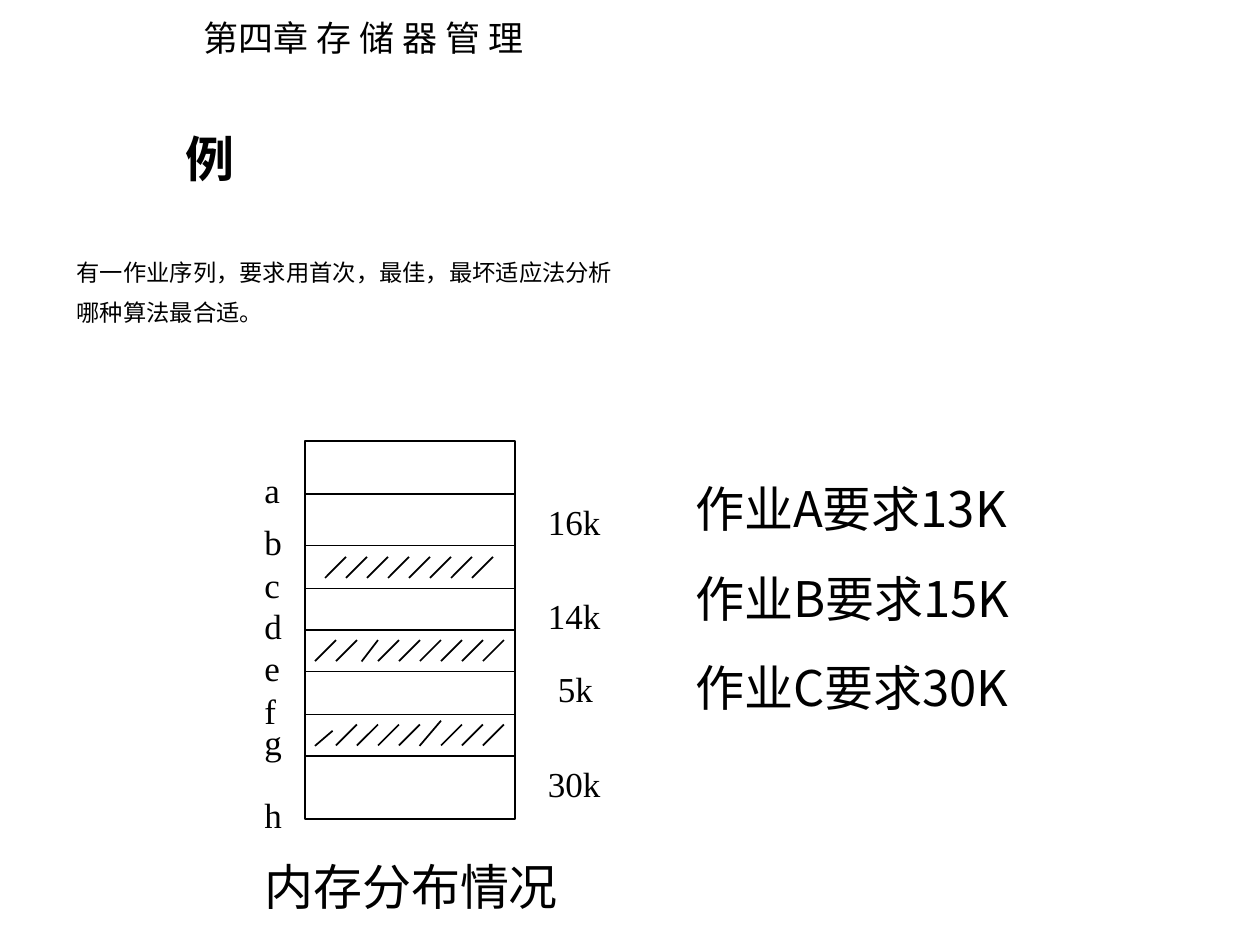
from dataclasses import dataclass

from lxml import etree
from pptx import Presentation
from pptx.dml.color import RGBColor
from pptx.enum.shapes import MSO_CONNECTOR, MSO_SHAPE
from pptx.enum.text import MSO_ANCHOR, PP_ALIGN
from pptx.oxml.ns import qn
from pptx.util import Inches, Pt


@dataclass(frozen=True)
class Theme:
    ink: RGBColor = RGBColor(0, 0, 0)
    paper: RGBColor = RGBColor(255, 255, 255)
    serif: str = "Times New Roman"
    cjk: str = "Noto Sans CJK SC"
    large: float = 28
    label: float = 20
    body: float = 13.3
    rule: float = 1
    leading: float = 1.2


THEME = Theme()
MAP_LEFT, MAP_TOP, MAP_WIDTH, MAP_HEIGHT = 2.42, 3.5, 1.67, 3
MAP_RIGHT = MAP_LEFT + MAP_WIDTH
DIVIDERS = (3.92, 4.33, 4.67, 5, 5.33, 5.67, 6)
STEP = 1 / 6

ADDRESSES = (("a", 3.67), ("b", 4.08), ("c", 4.42), ("d", 4.75),
             ("e", 5.08), ("f", 5.42), ("g", 5.67), ("h", 6.25))
FREE_SIZES = (("16k", 4.25, 3.92), ("14k", 4.25, 4.67),
              ("5k", 4.33, 5.25), ("30k", 4.25, 6))
# Left edge, top and stroke count of each occupied block
OCCUPIED = ((2.58, 4.42, 8), (2.5, 5.08, 9), (2.5, 5.75, 9))
# Strokes off the regular pattern: (block, stroke) -> x1, y1, x2, y2
UNEVEN_STROKES = {
    (1, 2): (3, 5.08, 2.87, 5.25),
    (2, 0): (2.64, 5.8, 2.5, 5.92),
    (2, 5): (3.5, 5.72, 3.33, 5.92),
}


def write_lines(frame, lines, size, latin=THEME.serif, gap=0, bold=False,
                align=PP_ALIGN.LEFT, leading=None):
    for index, line in enumerate(lines):
        paragraph = frame.paragraphs[0] if index == 0 else frame.add_paragraph()
        paragraph.alignment = align
        if leading:
            paragraph.line_spacing = Pt(size * leading)
        if index:
            paragraph.space_before = Pt(gap)
        run = paragraph.add_run()
        run.text = line
        font = run.font
        font.size, font.bold, font.name = Pt(size), bold, latin
        font.color.rgb = THEME.ink
        east_asian = etree.SubElement(font._element, qn("a:ea"))
        east_asian.set("typeface", THEME.cjk)


def add_text(slide, left, top, width, height, lines, size, wrap=True, **style):
    box = slide.shapes.add_textbox(
        Inches(left), Inches(top), Inches(width), Inches(height))
    box.text_frame.word_wrap = wrap
    write_lines(box.text_frame, lines, size, **style)


def add_box(slide, left, top, width, height):
    box = slide.shapes.add_shape(
        MSO_SHAPE.RECTANGLE,
        Inches(left), Inches(top), Inches(width), Inches(height))
    box.shadow.inherit = False
    return box


def add_line(slide, x1, y1, x2, y2):
    line = slide.shapes.add_connector(
        MSO_CONNECTOR.STRAIGHT, Inches(x1), Inches(y1), Inches(x2), Inches(y2))
    line.line.color.rgb = THEME.ink
    line.line.width = Pt(THEME.rule)
    etree.SubElement(line._element.spPr, qn("a:effectLst"))
    return line


def add_title(slide):
    title = slide.shapes.title
    title.left, title.top = Inches(0.75), Inches(0.67)
    title.width, title.height = Inches(1.83), Inches(1.17)
    title.text_frame.vertical_anchor = MSO_ANCHOR.MIDDLE
    write_lines(title.text_frame, ["例"], THEME.large, bold=True,
                align=PP_ALIGN.CENTER)


def add_question(slide):
    panel = add_box(slide, 0.51, 2, 9.49, 1.25)
    panel.fill.solid()
    panel.fill.fore_color.rgb = THEME.paper
    panel.line.fill.background()
    panel.text_frame.vertical_anchor = MSO_ANCHOR.TOP
    write_lines(panel.text_frame,
                ["有一作业序列，要求用首次，最佳，最坏适应法分析",
                 "哪种算法最合适。"],
                THEME.body, gap=7, leading=THEME.leading)


def add_memory_map(slide):
    memory = add_box(slide, MAP_LEFT, MAP_TOP, MAP_WIDTH, MAP_HEIGHT)
    memory.fill.background()
    memory.line.color.rgb = THEME.ink
    memory.line.width = Pt(THEME.rule)
    for y in DIVIDERS:
        divider = add_line(slide, MAP_LEFT, y, MAP_RIGHT, y)
        if y == MAP_TOP + MAP_HEIGHT / 2:
            divider.begin_connect(memory, 1)
            divider.end_connect(memory, 3)


def add_hatching(slide):
    for block, (left, top, count) in enumerate(OCCUPIED):
        for stroke in range(count):
            x = left + stroke * STEP
            regular = (x + STEP, top, x, top + STEP)
            add_line(slide, *UNEVEN_STROKES.get((block, stroke), regular))


def add_map_labels(slide):
    for address, top in ADDRESSES:
        add_text(slide, 2, top, 0.42, 0.44, [address], THEME.label)
    for size, left, top in FREE_SIZES:
        add_text(slide, left, top, 0.83, 0.44, [size], THEME.label)


def main():
    deck = Presentation()
    deck.slide_width, deck.slide_height = Inches(10), Inches(7.5)
    slide = deck.slides.add_slide(deck.slide_layouts[5])
    add_text(slide, 1.52, 0.08, 2.8, 0.44, ["第四章 存 储 器 管 理"],
             THEME.label, wrap=False, latin=THEME.cjk, leading=THEME.leading)
    add_title(slide)
    add_question(slide)
    add_memory_map(slide)
    add_hatching(slide)
    add_map_labels(slide)
    jobs = [f"作业{job}要求{need}K" for job, need in zip("ABC", (13, 15, 30))]
    add_text(slide, 5.42, 3.75, 3.83, 1.99, jobs, THEME.large,
             latin=THEME.cjk, gap=17.5, leading=THEME.leading)
    add_text(slide, 2, 6.75, 3, 0.57, ["内存分布情况"], THEME.large,
             leading=THEME.leading)
    deck.save("out.pptx")


if __name__ == "__main__":
    main()
